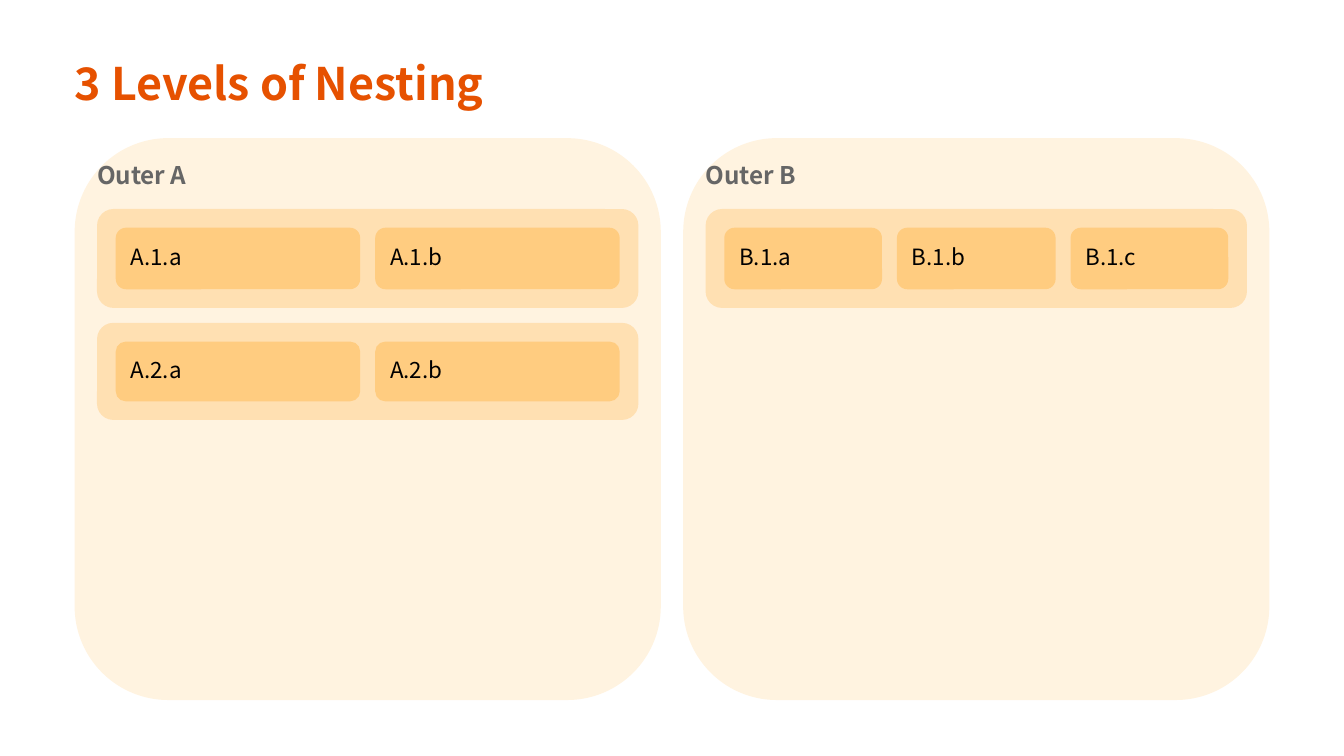
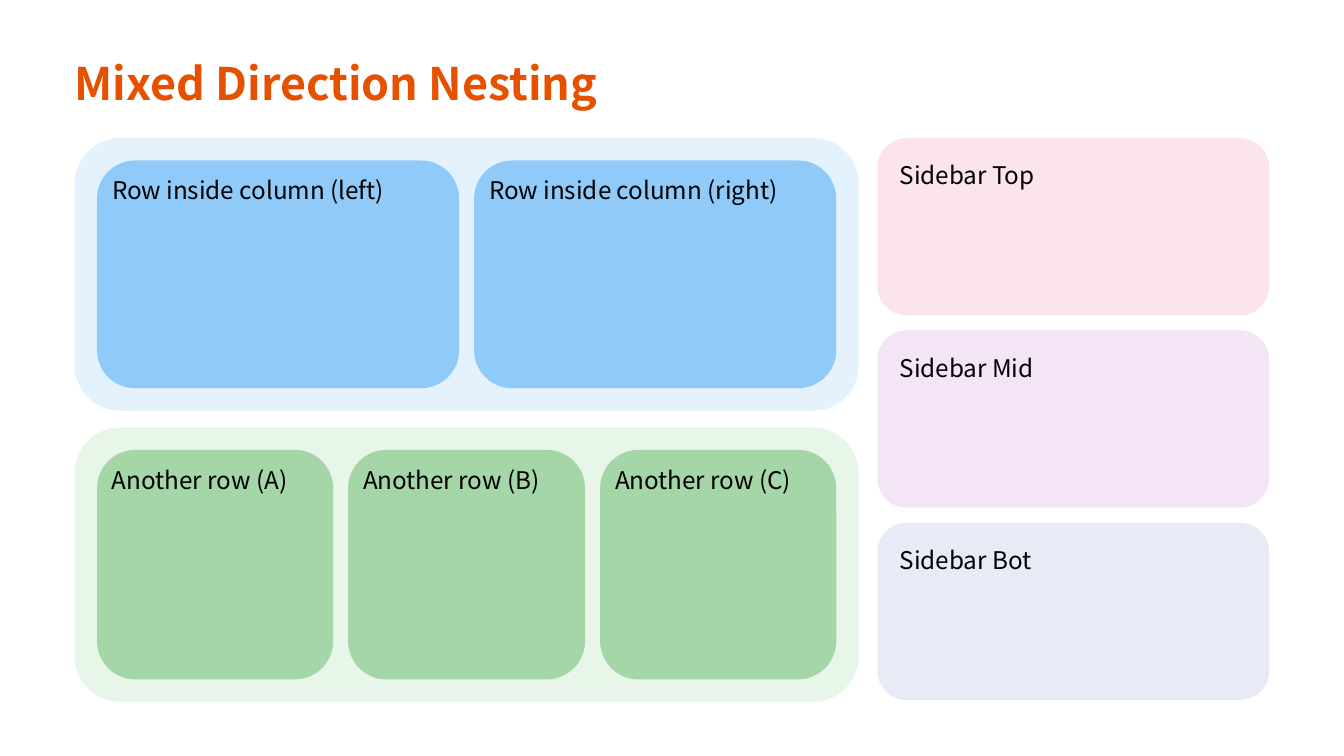
import pptx
import pptx.dml.color
import pptx.enum.shapes
import pptx.util

PX = 6350  # 144 px to the inch
FONT = "Noto Sans CJK SC"
ACCENT, MUTED, BLACK = "E65100", "666666", "000000"
LEFT, TOP, WIDTH, HEIGHT = 80, 148, 1280, 602
PAD, GAP = 24, 16


def color(value):
    return pptx.dml.color.RGBColor.from_string(value)


def emu(box):
    return [pptx.util.Emu(n * PX) for n in box]


def inset(box, pad):
    x, y, w, h = box
    return x + pad, y + pad, w - 2 * pad, h - 2 * pad


def split(box, count, gap=GAP):
    """Cut a box into equal columns, edges rounded to whole px."""
    x, y, w, h = box
    step = (w + gap) / count
    edges = [round(i * step) for i in range(count + 1)]
    return [(x + a, y, b - a - gap, h) for a, b in zip(edges, edges[1:])]


def panel(shapes, box, fill):
    shape = shapes.add_shape(
        pptx.enum.shapes.MSO_SHAPE.ROUNDED_RECTANGLE, *emu(box))
    shape.shadow.inherit = False
    shape.fill.solid()
    shape.fill.fore_color.rgb = color(fill)
    shape.line.fill.background()


def label(shapes, box, text, size=13, ink=BLACK, bold=False):
    frame = shapes.add_textbox(*emu(box)).text_frame
    frame.margin_left = frame.margin_right = 0
    frame.margin_top = frame.margin_bottom = 0
    frame.word_wrap = True
    frame.text = text
    font = frame.paragraphs[0].runs[0].font
    font.name, font.size, font.bold = FONT, pptx.util.Pt(size), bold
    font.color.rgb = color(ink)


def card(shapes, box, fill, text, pad=GAP, line=74, **style):
    """A panel with its label at the top left, inside the padding."""
    panel(shapes, box, fill)
    x, y, w, _ = inset(box, pad)
    label(shapes, (x, y, w, line), text, **style)


def page(deck, title):
    slide = deck.slides.add_slide(deck.slide_layouts[6])
    label(slide.shapes, (LEFT, 60, WIDTH, 68), title, 24, ACCENT, True)
    return slide


def group(slide):
    return slide.shapes.add_group_shape().shapes


def outer(slide, box, name, rows):
    shapes = group(slide)
    card(shapes, box, "FFF3E0", name, PAD, 38, ink=MUTED, bold=True)
    x, y, w, _ = inset(box, PAD)
    y += 52
    for high, names in rows:
        row = x, y, w, high
        panel(shapes, row, "FFE0B2")
        for cell, text in zip(split(inset(row, 20), len(names)), names):
            card(shapes, cell, "FFCC80", text, line=36, size=12)
        y += high + GAP


def band(slide, box, back, front, names):
    shapes = group(slide)
    panel(shapes, box, back)
    for cell, text in zip(split(inset(box, PAD), len(names)), names):
        card(shapes, cell, front, text)


def sidebar(slide, box, items):
    x, y, w, h = box
    high = (h - GAP * (len(items) - 1)) // len(items)
    for i, (text, fill) in enumerate(items):
        cell = x, y + i * (high + GAP), w, high
        card(group(slide), cell, fill, text, PAD, 38)


def levels(deck):
    slide = page(deck, "3 Levels of Nesting")
    left, right = split((LEFT, TOP, WIDTH, HEIGHT), 2, PAD)
    outer(slide, left, "Outer A",
          [(106, ["A.1.a", "A.1.b"]), (104, ["A.2.a", "A.2.b"])])
    outer(slide, right, "Outer B", [(106, ["B.1.a", "B.1.b", "B.1.c"])])


def mixed(deck):
    slide = page(deck, "Mixed Direction Nesting")
    band(slide, (LEFT, TOP, 840, 292), "E3F2FD", "90CAF9",
         [f"Row inside column ({side})" for side in ("left", "right")])
    band(slide, (LEFT, TOP + 310, 840, 294), "E8F5E9", "A5D6A7",
         [f"Another row ({letter})" for letter in "ABC"])
    sidebar(slide, (940, TOP, 420, HEIGHT),
            [("Sidebar Top", "FCE4EC"), ("Sidebar Mid", "F3E5F5"),
             ("Sidebar Bot", "E8EAF6")])


def main():
    deck = pptx.Presentation()
    deck.slide_width, deck.slide_height = emu((1440, 810))
    levels(deck)
    mixed(deck)
    deck.save("out.pptx")


if __name__ == "__main__":
    main()
